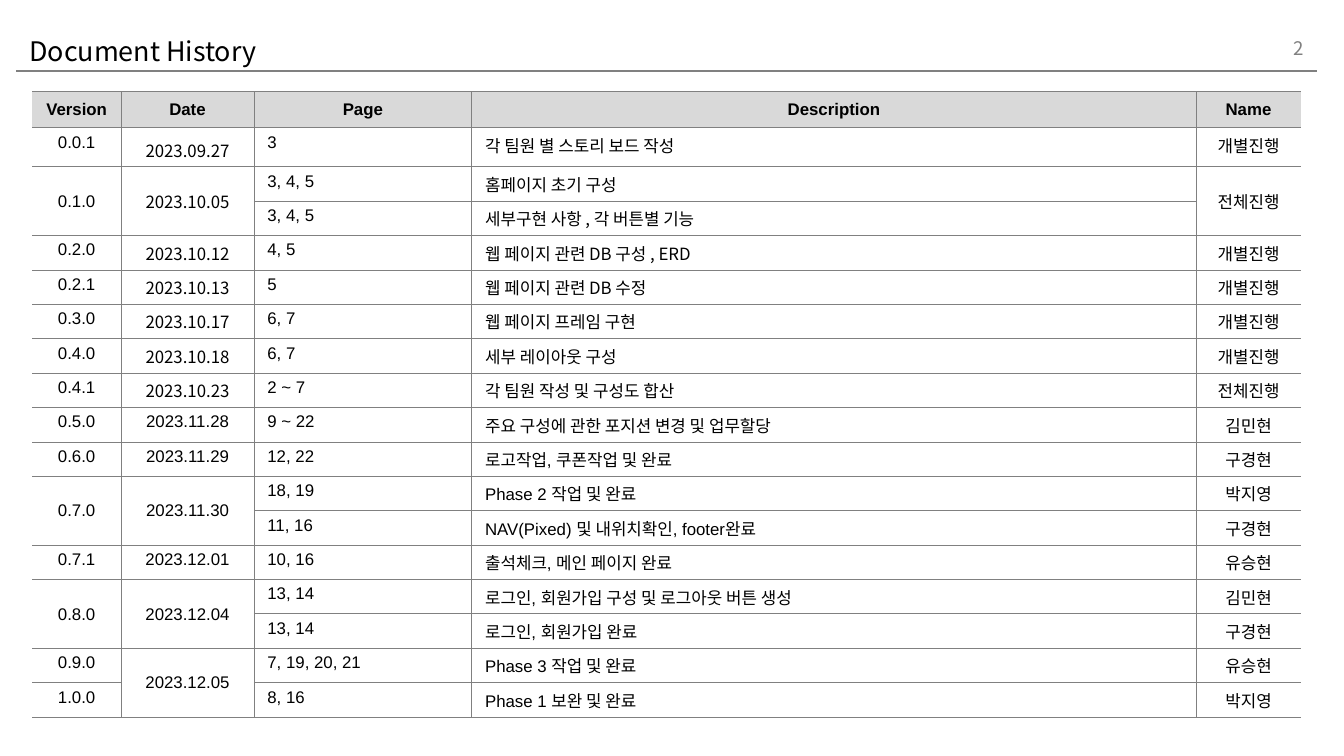
from lxml import etree
from pptx import Presentation
from pptx.dml.color import RGBColor
from pptx.enum.shapes import MSO_CONNECTOR
from pptx.enum.text import MSO_ANCHOR, PP_ALIGN
from pptx.oxml.ns import qn
from pptx.util import Inches, Pt

LEFT, CENTER, RIGHT = PP_ALIGN.LEFT, PP_ALIGN.CENTER, PP_ALIGN.RIGHT
TOP, MIDDLE = MSO_ANCHOR.TOP, MSO_ANCHOR.MIDDLE
STRAIGHT = MSO_CONNECTOR.STRAIGHT

SLIDE_WIDTH = 10
SLIDE_HEIGHT = SLIDE_WIDTH * 9 / 16
COLORS = {"text": "000000", "gray": "808080", "header": "D9D9D9", "body": "FFFFFF"}
SANS, KOREAN = "Arial", "Noto Sans CJK KR"

HEADER = ("Version", "Date", "Page", "Description", "Name")
# None continues the cell above
DRAFT_ROWS = [
    ("0.0.1", "2023.09.27", "3", "각 팀원 별 스토리 보드 작성", "개별진행"),
    ("0.1.0", "2023.10.05", "3, 4, 5", "홈페이지 초기 구성", "전체진행"),
    (None, None, "3, 4, 5", "세부구현 사항 , 각 버튼별 기능", None),
    ("0.2.0", "2023.10.12", "4, 5", "웹 페이지 관련 DB 구성 , ERD", "개별진행"),
    ("0.2.1", "2023.10.13", "5", "웹 페이지 관련 DB 수정", "개별진행"),
    ("0.3.0", "2023.10.17", "6, 7", "웹 페이지 프레임 구현", "개별진행"),
    ("0.4.0", "2023.10.18", "6, 7", "세부 레이아웃 구성", "개별진행"),
    ("0.4.1", "2023.10.23", "2 ~ 7", "각 팀원 작성 및 구성도 합산", "전체진행"),
]
BUILD_ROWS = [
    ("0.5.0", "2023.11.28", "9 ~ 22", "주요 구성에 관한 포지션 변경 및 업무할당", "김민현"),
    ("0.6.0", "2023.11.29", "12, 22", "로고작업, 쿠폰작업 및 완료", "구경현"),
    ("0.7.0", "2023.11.30", "18, 19", "Phase 2 작업 및 완료", "박지영"),
    (None, None, "11, 16", "NAV(Pixed) 및 내위치확인, footer완료", "구경현"),
    ("0.7.1", "2023.12.01", "10, 16", "출석체크, 메인 페이지 완료", "유승현"),
    ("0.8.0", "2023.12.04", "13, 14", "로그인, 회원가입 구성 및 로그아웃 버튼 생성", "김민현"),
    (None, None, "13, 14", "로그인, 회원가입 완료", "구경현"),
    ("0.9.0", "2023.12.05", "7, 19, 20, 21", "Phase 3 작업 및 완료", "유승현"),
    ("1.0.0", None, "8, 16", "Phase 1 보완 및 완료", "박지영"),
]
ROWS = [HEADER] + DRAFT_ROWS + BUILD_ROWS
COLUMN_WIDTHS = (0.66, 0.99, 1.62, 5.39, 0.78)
ALIGNMENTS = (CENTER, CENTER, LEFT, LEFT, CENTER)
TABLE_LEFT, TABLE_TOP, TABLE_HEIGHT = 0.24, 0.68, 4.66
FIRST_HEIGHTS = [0.27, 0.29]
REST_COUNT = len(ROWS) - len(FIRST_HEIGHTS)
REST_HEIGHT = (TABLE_HEIGHT - sum(FIRST_HEIGHTS)) / REST_COUNT
ROW_HEIGHTS = FIRST_HEIGHTS + [REST_HEIGHT] * REST_COUNT


def rgb(name):
    return RGBColor.from_string(COLORS[name])


def format_text(paragraph, size, latin, color, alignment, bold=False):
    """Style every run, with the Korean font for East Asian letters."""
    paragraph.alignment = alignment
    for run in paragraph.runs:
        font = run.font
        font.size, font.name, font.bold = Pt(size), latin, bold
        font.color.rgb = rgb(color)
        east_asian = etree.Element(qn("a:ea"), typeface=KOREAN)
        font._element.find(qn("a:latin")).addnext(east_asian)


def add_label(slide, text, box, size, color, alignment):
    frame = slide.shapes.add_textbox(*map(Inches, box)).text_frame
    frame.word_wrap = True
    frame.vertical_anchor = MIDDLE
    frame.margin_top = frame.margin_bottom = 0
    frame.text = text
    format_text(frame.paragraphs[0], size, KOREAN, color, alignment)


def set_borders(cell, column):
    """Draw thin gray lines, leaving the table's outer sides open."""
    open_side = {0: "L", len(HEADER) - 1: "R"}.get(column)
    properties = cell._tc.get_or_add_tcPr()
    for position, side in enumerate("LRTB"):
        line = etree.Element(qn(f"a:ln{side}"), w=str(Pt(0.25)))
        if side == open_side:
            etree.SubElement(line, qn("a:noFill"))
        else:
            fill = etree.SubElement(line, qn("a:solidFill"))
            etree.SubElement(fill, qn("a:srgbClr"), val=COLORS["gray"])
        properties.insert(position, line)


def count_span(row, column):
    end = row + 1
    while end < len(ROWS) and ROWS[end][column] is None:
        end += 1
    return end - row


def fill_cell(table, row, column):
    cell, text = table.cell(row, column), ROWS[row][column]
    is_header = row == 0
    cell.margin_left = cell.margin_right = Inches(0.1)
    cell.margin_top, cell.margin_bottom = Inches(0.04), Inches(0.03)
    cell.fill.solid()
    cell.fill.fore_color.rgb = rgb("header" if is_header else "body")
    set_borders(cell, column)
    if text is None:
        return
    span = count_span(row, column)
    if span > 1:
        cell.merge(table.cell(row + span - 1, column))
    cell.vertical_anchor = MIDDLE if is_header or span > 1 else TOP
    in_draft = 1 <= row <= len(DRAFT_ROWS)
    latin = KOREAN if in_draft and HEADER[column] in ("Date", "Description") else SANS
    cell.text_frame.text = text
    paragraph = cell.text_frame.paragraphs[0]
    alignment = CENTER if is_header else ALIGNMENTS[column]
    format_text(paragraph, 9, latin, "text", alignment, is_header)
    if row == 1 and HEADER[column] == "Date":
        paragraph.line_spacing = 1.2


def add_history_table(slide):
    table = slide.shapes.add_table(
        len(ROWS), len(HEADER), Inches(TABLE_LEFT), Inches(TABLE_TOP),
        Inches(sum(COLUMN_WIDTHS)), Inches(TABLE_HEIGHT)).table
    table.horz_banding = False
    for column, width in zip(table.columns, COLUMN_WIDTHS):
        column.width = Inches(width)
    for row, height in zip(table.rows, ROW_HEIGHTS):
        row.height = Inches(height)
    for row in range(len(ROWS)):
        for column in range(len(HEADER)):
            fill_cell(table, row, column)


def main():
    presentation = Presentation()
    presentation.slide_width = Inches(SLIDE_WIDTH)
    presentation.slide_height = Inches(SLIDE_HEIGHT)
    slide = presentation.slides.add_slide(presentation.slide_layouts[6])

    rule = slide.shapes.add_connector(
        STRAIGHT, Inches(0.12), Inches(0.53), Inches(9.8), Inches(0.53))
    rule.line.color.rgb = rgb("gray")
    rule.line.width = Pt(1)
    etree.SubElement(rule._element.spPr, qn("a:effectLst"))

    add_label(slide, "Document History", (0.12, 0.23, 8.03, 0.3), 14.4, "text", LEFT)
    add_history_table(slide)
    add_label(slide, "2", (9.2, 0.21, 0.6, 0.3), 10, "gray", RIGHT)
    presentation.save("out.pptx")


if __name__ == "__main__":
    main()
